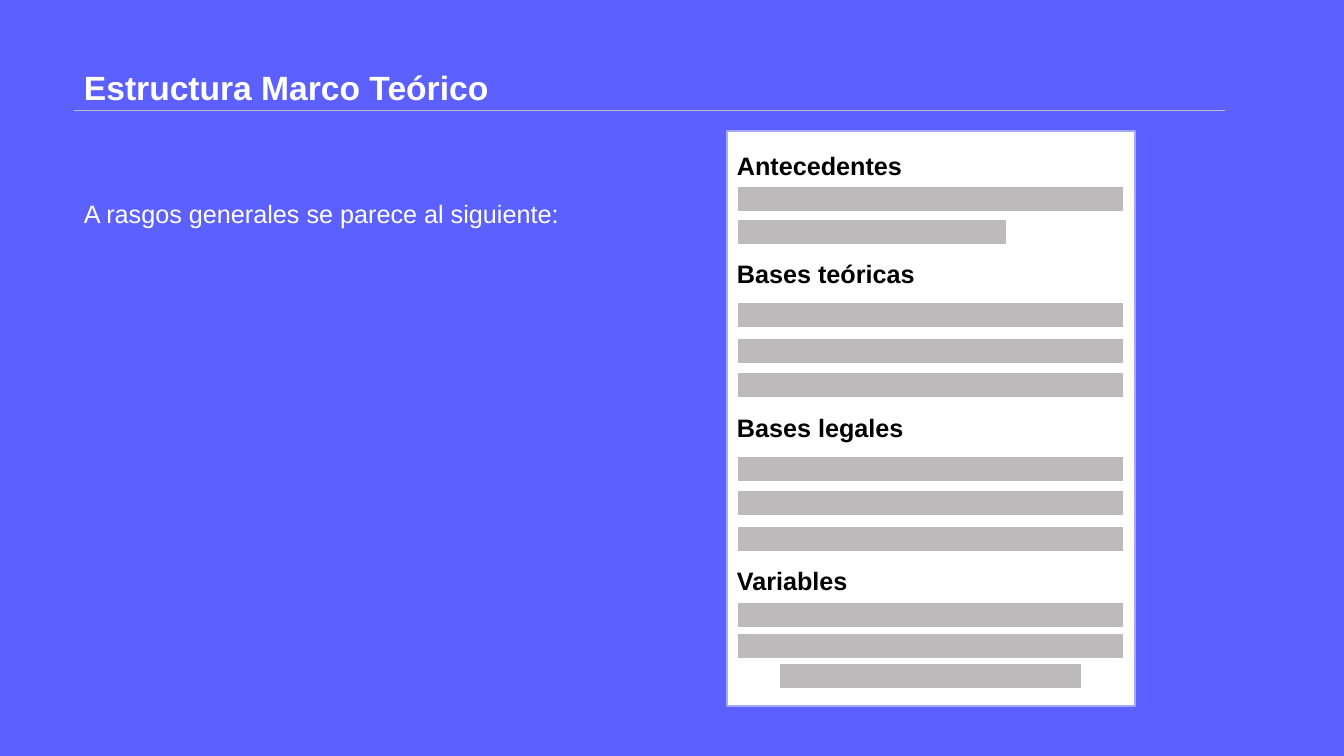
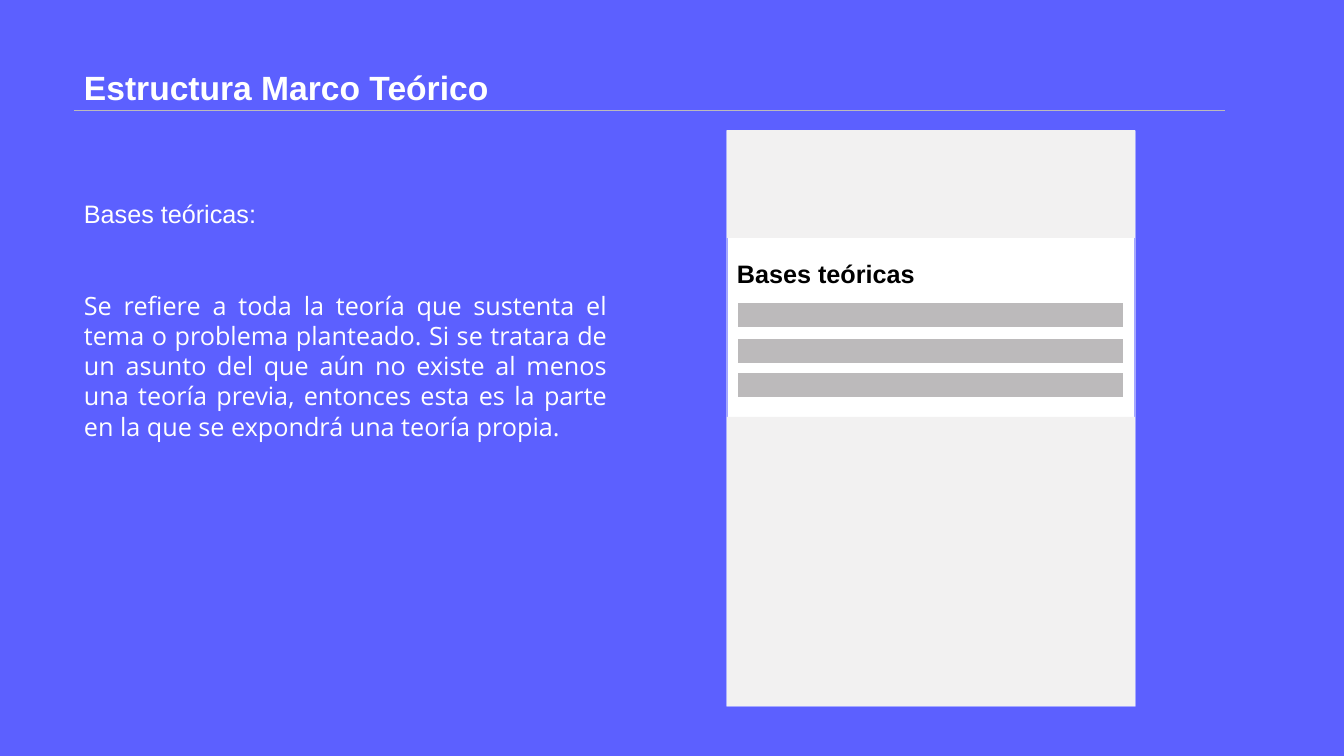
from dataclasses import dataclass
from pptx import Presentation
from pptx import util as u
from pptx.dml.color import RGBColor
from pptx.enum import shapes, text
from pptx.oxml.ns import qn
from pptx.slide import Slide

BLUE = RGBColor(0x5C, 0x60, 0xFF)
PALE = RGBColor(0xA5, 0xA8, 0xFF)
GREY = RGBColor(0xBC, 0xBA, 0xBB)
MIST = RGBColor(0xF2, 0xF1, 0xF1)
WHITE = RGBColor(0xFF, 0xFF, 0xFF)
BLACK = RGBColor(0, 0, 0)

LEFT = 74
CARD = 727
WIDE = 408


@dataclass
class Box:
    x: int
    y: int
    w: int
    h: int

    def emu(self) -> list[int]:
        return [px(n) for n in (self.x, self.y, self.w, self.h)]


@dataclass
class Style:
    size: int = 18
    color: RGBColor = WHITE
    bold: bool = False
    face: str = "Arial"
    wrap: bool = False
    align: text.PP_ALIGN | None = None


@dataclass
class Part:
    head: str
    top: int
    width: int
    bars: list[Box]


def px(n: int) -> int:
    return round(n * 12192000 / 1344)


def bar(y: int, x: int = 737, w: int = 387) -> Box:
    return Box(x, y, w, 26)


TITLE = Style(24, bold=True, wrap=True)
HEAD = Style(color=BLACK, bold=True)
LEAD = Style()
BODY = Style(face="Open Sans", wrap=True, align=text.PP_ALIGN.JUSTIFY)

BASES = Part("Bases teóricas", 253, 200, [bar(302), bar(338), bar(372)])
PARTS = [
    Part("Antecedentes", 145, 187, [bar(186), bar(219, w=270)]),
    BASES,
    Part("Bases legales", 407, 188, [bar(456), bar(490), bar(526)]),
    Part("Variables", 560, 132, [bar(602), bar(633), bar(663, 779, 303)]),
]


def write(slide: Slide, words: str, box: Box, style: Style):
    frame = slide.shapes.add_textbox(*box.emu()).text_frame
    frame.word_wrap = style.wrap
    frame.text = words
    para = frame.paragraphs[0]
    para.alignment = style.align
    font = para.font
    font.name, font.size, font.bold = style.face, u.Pt(style.size), style.bold
    font.color.rgb = style.color
    return frame


def block(slide: Slide, box: Box, fill: RGBColor,
          edge: RGBColor | None = None, width: float = 1) -> None:
    rect = slide.shapes.add_shape(shapes.MSO_SHAPE.RECTANGLE, *box.emu())
    rect.shadow.inherit = False
    rect.fill.solid()
    rect.fill.fore_color.rgb = fill
    if edge is None:
        rect.line.fill.background()
    else:
        rect.line.color.rgb = edge
        rect.line.width = u.Pt(width)


def rule(slide: Slide) -> None:
    line = slide.shapes.add_connector(
        shapes.MSO_CONNECTOR.STRAIGHT, px(LEFT), px(110), px(1225), px(110))
    line.line.color.rgb = GREY
    line.line.width = u.Pt(0.5)
    props = line._element.spPr
    props.append(props.makeelement(qn("a:effectLst"), {}))


def page(deck, lead: str, width: int, parts: list[Part]) -> Slide:
    slide = deck.slides.add_slide(deck.slide_layouts[6])
    frame = write(slide, "Estructura Marco Teórico", Box(LEFT, 0, 1197, 113), TITLE)
    frame.vertical_anchor = text.MSO_ANCHOR.BOTTOM
    frame.paragraphs[0].line_spacing = 0.9
    rule(slide)
    write(slide, lead, Box(LEFT, 193, width, 40), LEAD)
    block(slide, Box(CARD, 131, WIDE, 575), WHITE, PALE)
    for part in parts:
        write(slide, part.head, Box(CARD, part.top, part.width, 40), HEAD)
        for box in part.bars:
            block(slide, box, GREY, WHITE, 1.5)
    return slide


def main() -> None:
    deck = Presentation()
    deck.slide_width, deck.slide_height = px(1344), px(756)
    fill = deck.slide_master.background.fill
    fill.solid()
    fill.fore_color.rgb = BLUE

    page(deck, "A rasgos generales se parece al siguiente:", 500, PARTS)

    slide = page(deck, "Bases teóricas:", 195, [BASES])
    for top, high in ((130, 108), (417, 289)):
        block(slide, Box(CARD, top, WIDE, high), MIST)
    write(slide, "Se refiere a toda la teoría que sustenta el tema o problema "
          "planteado. Si se tratara de un asunto del que aún no existe al menos "
          "una teoría previa, entonces esta es la parte en la que se expondrá "
          "una teoría propia.", Box(LEFT, 285, 543, 163), BODY)

    deck.save("out.pptx")


if __name__ == "__main__":
    main()
